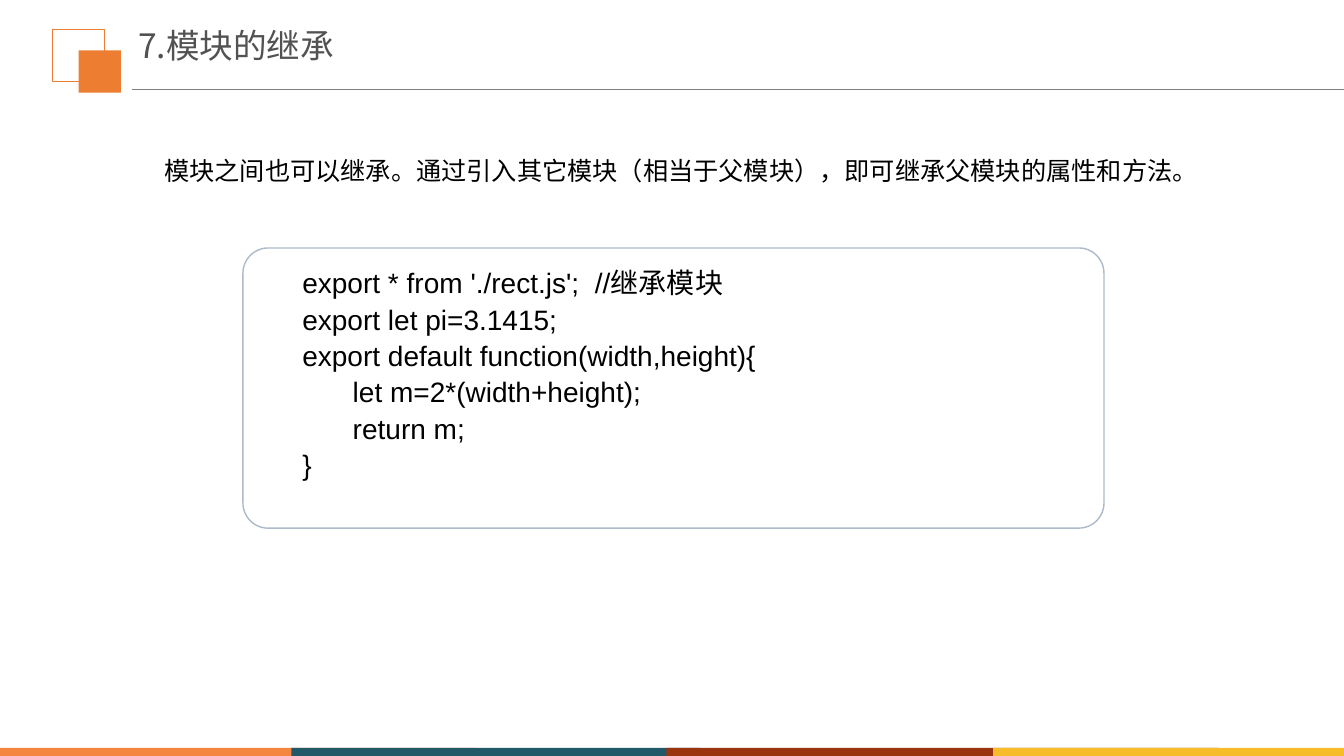
"""Build the slide on module inheritance."""
import pptx
import pptx.util
import pptx.dml.color
import pptx.enum.shapes
import pptx.enum.text
from lxml import etree
from pptx.oxml.ns import qn

Inches, Pt = pptx.util.Inches, pptx.util.Pt
RGB = pptx.dml.color.RGBColor
KIND = pptx.enum.shapes.MSO_SHAPE
ORANGE = RGB(0xED, 0x7D, 0x31)
GRAY = RGB(0x7F, 0x7F, 0x7F)
DARK = RGB(0x52, 0x52, 0x52)
BLACK = RGB(0, 0, 0)
BORDER = RGB(0xAD, 0xBA, 0xCA)
HAN = "Noto Sans CJK SC"

TITLE = "7.模块的继承"
INTRO = "模块之间也可以继承。通过引入其它模块（相当于父模块），即可继承父模块的属性和方法。"
CODE = [
    "export * from './rect.js';  //继承模块",
    "export let pi=3.1415;",
    "export default function(width,height){",
    "\tlet m=2*(width+height);",
    "\treturn m;",
    "}",
]
BARS = [
    (0, 4.72, RGB(0xF5, 0x86, 0x3F)),
    (2.89, 4.05, RGB(0x21, 0x59, 0x68)),
    (6.61, 5.47, RGB(0x9A, 0x34, 0x0F)),
    (9.85, 3.48, RGB(0xF7, 0xBC, 0x29)),
]
WIDE, HIGH, BAR = 13.33, 7.5, 0.08


def draw(slide, kind, box, fill=None, line=None, width=0.75):
    """Add a preset shape with an optional fill and outline."""
    shape = slide.shapes.add_shape(kind, *map(Inches, box))
    shape.shadow.inherit = False
    if fill is None:
        shape.fill.background()
    else:
        shape.fill.solid()
        shape.fill.fore_color.rgb = fill
    if line is None:
        shape.line.fill.background()
    else:
        shape.line.color.rgb = line
        shape.line.width = Pt(width)
    return shape


def write(frame, lines, size, face, color, style):
    """Fill a text frame with one paragraph per line."""
    for i, text in enumerate(lines):
        para = frame.add_paragraph() if i else frame.paragraphs[0]
        for name, value in style.items():
            setattr(para, name, value)
        run = para.add_run()
        run.text = text
        font = run.font
        for name, value in {"size": Pt(size), "name": face}.items():
            setattr(font, name, value)
        font.color.rgb = color
        props = run._r.get_or_add_rPr()
        etree.SubElement(props, qn("a:ea")).set("typeface", HAN)


def main():
    """Lay out the slide and save it."""
    deck = pptx.Presentation()
    deck.slide_width, deck.slide_height = Inches(WIDE), Inches(HIGH)
    slide = deck.slides.add_slide(deck.slide_layouts[5])

    draw(slide, KIND.RECTANGLE, (0.52, 0.29, 0.52, 0.52), line=ORANGE)
    draw(slide, KIND.RECTANGLE, (0.78, 0.5, 0.42, 0.42), fill=ORANGE)
    ends = map(Inches, (1.31, 0.89, WIDE, 0.89))
    rule = slide.shapes.add_connector(
        pptx.enum.shapes.MSO_CONNECTOR.STRAIGHT, *ends)
    rule.line.color.rgb = GRAY
    rule.line.width = Pt(0.75)
    etree.SubElement(rule._element.spPr, qn("a:effectLst"))

    for left, width, color in BARS:
        draw(slide, KIND.RECTANGLE, (left, HIGH - BAR, width, BAR), fill=color)

    title = slide.shapes.title
    place = {"left": 1.3, "top": 0.29, "width": 5.29, "height": 0.58}
    for name, value in place.items():
        setattr(title, name, Inches(value))
    frame = title.text_frame
    look = {
        "margin_left": Inches(0.07),
        "margin_top": 0,
        "vertical_anchor": pptx.enum.text.MSO_ANCHOR.TOP,
        "auto_size": pptx.enum.text.MSO_AUTO_SIZE.NONE,
    }
    for name, value in look.items():
        setattr(frame, name, value)
    left = pptx.enum.text.PP_ALIGN.LEFT
    write(frame, [TITLE], 24, HAN, DARK,
          {"alignment": left, "line_spacing": 0.9})

    panel = draw(slide, KIND.ROUNDED_RECTANGLE, (2.41, 2.46, 8.54, 2.78),
                 line=BORDER, width=1)
    panel.adjustments[0] = 0.09

    texts = [
        ((1.53, 1.49, 10.55, 0.4), False, [INTRO], 18, {}),
        ((2.9, 2.56, 7.79, 2.29), True, CODE, 20, {"line_spacing": Pt(26)}),
    ]
    for box, wrap, lines, size, style in texts:
        frame = slide.shapes.add_textbox(*map(Inches, box)).text_frame
        frame.word_wrap = wrap
        write(frame, lines, size, "Arial", BLACK, style)

    deck.save("out.pptx")


if __name__ == "__main__":
    main()
